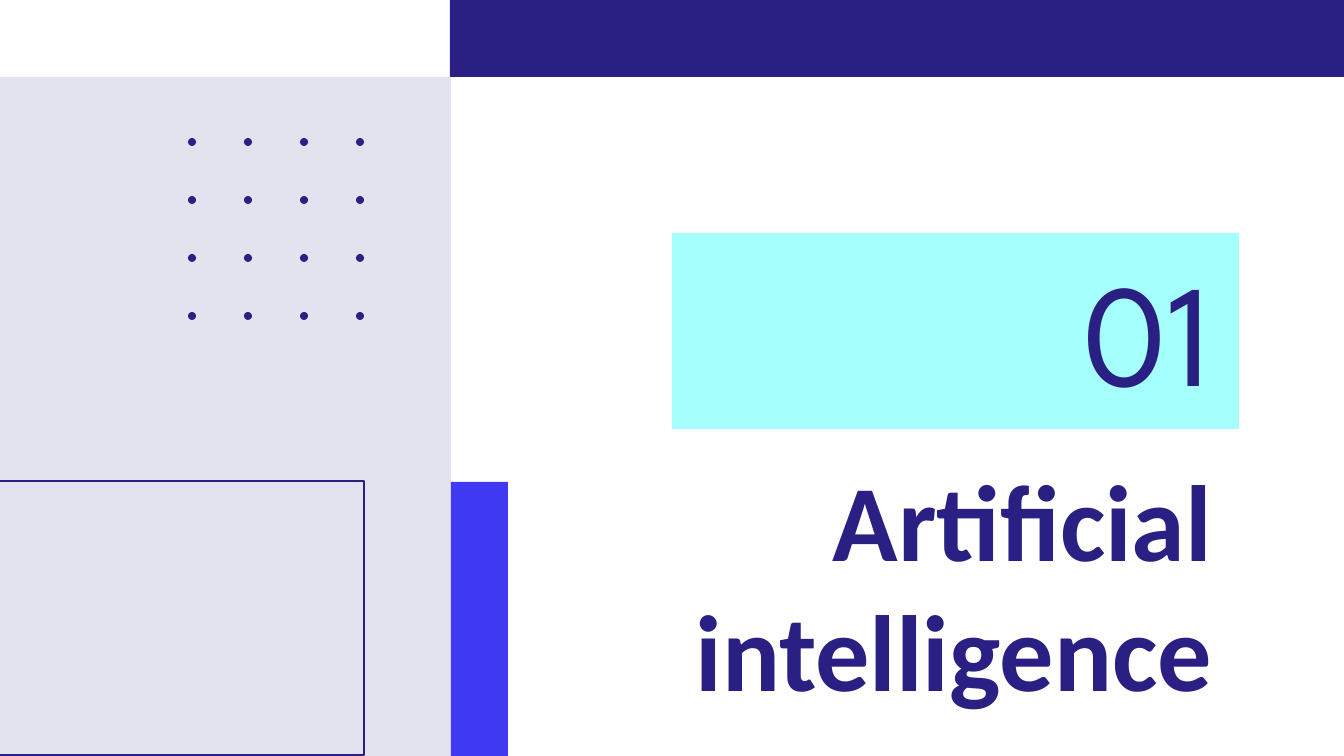
from pptx import Presentation, util as u
from pptx.dml.color import RGBColor
from pptx.enum import shapes, text

PX = 6803.57
SIZE = (1344, 756)
HUES = {"navy": "2A1F82", "aqua": "A4FFFD", "mist": "E3E2EF", "blue": "3F3AF2"}
TOP = (450, -1, 894, 78)
PANEL = (0, 77, 451, 679)
FRAME = (-7, 481, 371, 274)
STRIP = (451, 482, 57, 274)
DOTS = {"left": 188, "top": 138, "dx": 56, "dy": 58, "size": 8, "count": 4}
TITLE = {
    "words": "Artificial intelligence", "box": (508, 470, 731, 226),
    "font": "Calibri", "size": 58, "bold": True,
    "anchor": text.MSO_ANCHOR.MIDDLE, "pad": (13, 13, 27, 13),
}
NUMBER = {
    "words": "01", "box": (672, 233, 567, 196),
    "font": "League Spartan", "size": 78, "bold": False,
    "anchor": text.MSO_ANCHOR.BOTTOM, "pad": (13, 11, 27, 13),
}


def emu(box):
    return [u.Emu(round(n * PX)) for n in box]


def hue(name):
    return RGBColor.from_string(HUES[name])


def draw(slide, box, fill=None, line=None, kind=shapes.MSO_SHAPE.RECTANGLE):
    shape = slide.shapes.add_shape(kind, *emu(box))
    shape.shadow.inherit = False
    if fill:
        shape.fill.solid()
        shape.fill.fore_color.rgb = hue(fill)
    else:
        shape.fill.background()
    if line:
        shape.line.color.rgb = hue(line)
        shape.line.width = u.Pt(0.75)
    else:
        shape.line.fill.background()
    return shape


def write(shape, item):
    frame = shape.text_frame
    frame.word_wrap = True
    frame.vertical_anchor = item["anchor"]
    (frame.margin_left, frame.margin_top,
     frame.margin_right, frame.margin_bottom) = emu(item["pad"])
    para = frame.paragraphs[0]
    para.text = item["words"]
    para.alignment = text.PP_ALIGN.RIGHT
    para.font.name = item["font"]
    para.font.size = u.Pt(item["size"])
    para.font.bold = item["bold"]
    para.font.color.rgb = hue("navy")


def main():
    deck = Presentation()
    deck.slide_width, deck.slide_height = emu(SIZE)
    slide = deck.slides.add_slide(deck.slide_layouts[6])

    draw(slide, TOP, "navy")
    write(slide.shapes.add_textbox(*emu(TITLE["box"])), TITLE)
    write(draw(slide, NUMBER["box"], "aqua"), NUMBER)
    draw(slide, PANEL, "mist")
    draw(slide, FRAME, line="navy")
    for col in range(DOTS["count"]):
        for row in range(DOTS["count"]):
            left = DOTS["left"] + col * DOTS["dx"]
            top = DOTS["top"] + row * DOTS["dy"]
            draw(slide, (left, top, DOTS["size"], DOTS["size"]), "navy",
                 kind=shapes.MSO_SHAPE.OVAL)
    draw(slide, STRIP, "blue")
    deck.save("out.pptx")


if __name__ == "__main__":
    main()
